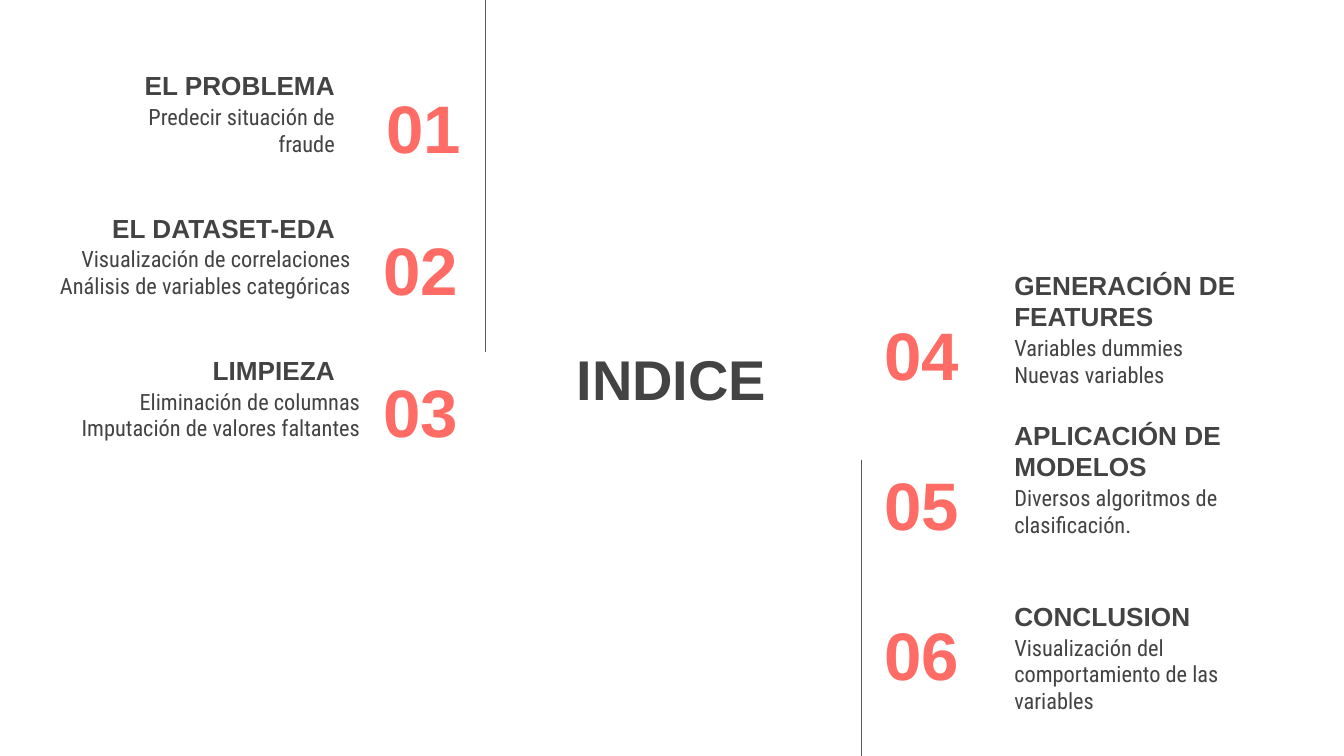
"""Build the index slide with six numbered sections around a central title."""
from lxml import etree
from pptx import Presentation
from pptx.dml.color import RGBColor
from pptx.enum.shapes import MSO_CONNECTOR
from pptx.enum.text import MSO_ANCHOR, PP_ALIGN
from pptx.oxml.ns import qn
from pptx.util import Cm, Pt

STRAIGHT = MSO_CONNECTOR.STRAIGHT
TOP, MIDDLE, BOTTOM = MSO_ANCHOR.TOP, MSO_ANCHOR.MIDDLE, MSO_ANCHOR.BOTTOM
LEFT, CENTER, RIGHT = PP_ALIGN.LEFT, PP_ALIGN.CENTER, PP_ALIGN.RIGHT
DARK = RGBColor(0x43, 0x43, 0x43)
CORAL = RGBColor(0xFF, 0x6B, 0x65)
GREY = RGBColor(0x59, 0x59, 0x59)

FORMATS = {
    "title": ({"name": "Arial", "size": Pt(30), "bold": True}, DARK, MIDDLE),
    "number": ({"name": "Arial", "size": Pt(36), "bold": True}, CORAL, MIDDLE),
    "heading": ({"name": "Arial", "size": Pt(14), "bold": True}, DARK, BOTTOM),
    "body": ({"name": "Roboto Condensed", "size": Pt(12), "bold": False}, DARK, TOP),
}
MARGINS = ("margin_left", "margin_top", "margin_right", "margin_bottom")

deck = Presentation()
deck.slide_width, deck.slide_height = Cm(25.4), Cm(14.29)
page = deck.slides.add_slide(deck.slide_layouts[6])


def add_text(style, lines, left, top, width, height, align):
    values, color, anchor = FORMATS[style]
    box = page.shapes.add_textbox(Cm(left), Cm(top), Cm(width), Cm(height))
    frame = box.text_frame
    frame.word_wrap = True
    frame.vertical_anchor = anchor
    for margin in MARGINS:
        setattr(frame, margin, Cm(0.25))
    for index, line in enumerate(lines):
        para = frame.paragraphs[0] if index == 0 else frame.add_paragraph()
        para.alignment = align
        span = para.add_run()
        span.text = line
        for name, value in values.items():
            setattr(span.font, name, value)
        span.font.color.rgb = color


add_text("title", ["INDICE"], 9.4, 5.84, 6.58, 2.62, CENTER)

left_sections = [
    ("01", "EL PROBLEMA", ["Predecir situación de fraude"], 5.89, 1.93, 4.65, 1.6),
    ("02", "EL DATASET-EDA",
     ["Visualización de correlaciones Análisis de variables categóricas"],
     5.84, 0.3, 6.58, 1.96),
    ("03", "LIMPIEZA", ["Eliminación de columnas", "Imputación de valores faltantes"],
     5.84, 0.91, 6.15, 2.29),
]
right_sections = [
    ("04", "GENERACIÓN DE FEATURES", ["Variables dummies", "Nuevas variables"],
     16.46, 18.92, 4.65, 1.6),
    ("05", "APLICACIÓN DE MODELOS", ["Diversos algoritmos de clasificación."],
     16.46, 18.92, 4.65, 1.6),
    ("06", "CONCLUSION", ["Visualización del comportamiento de las variables"],
     16.46, 18.92, 4.65, 2.06),
]
columns = [
    (left_sections, 0.56, 2.69, 1.09, 1.03, 3.07, RIGHT),
    (right_sections, 4.93, 2.83, 18.92, 0.96, 2.97, LEFT),
]
for sections, start, step, heading_left, number_drop, number_width, align in columns:
    for row, section in enumerate(sections):
        number, heading, body, number_left, body_left, body_width, body_height = section
        top = start + row * step
        add_text("number", [number], number_left, top + number_drop, number_width, 1.6, align)
        add_text("heading", [heading], heading_left, top, 5.49, 1.6, align)
        add_text("body", body, body_left, top + 1.14, body_width, body_height, align)

for x, top, bottom in [(9.17, 0, 6.65), (16.28, 8.69, 14.29)]:
    divider = page.shapes.add_connector(STRAIGHT, Cm(x), Cm(top), Cm(x), Cm(bottom))
    divider.line.color.rgb = GREY
    divider.line.width = Pt(0.75)
    etree.SubElement(divider._element.spPr, qn("a:effectLst"))

deck.save("out.pptx")
